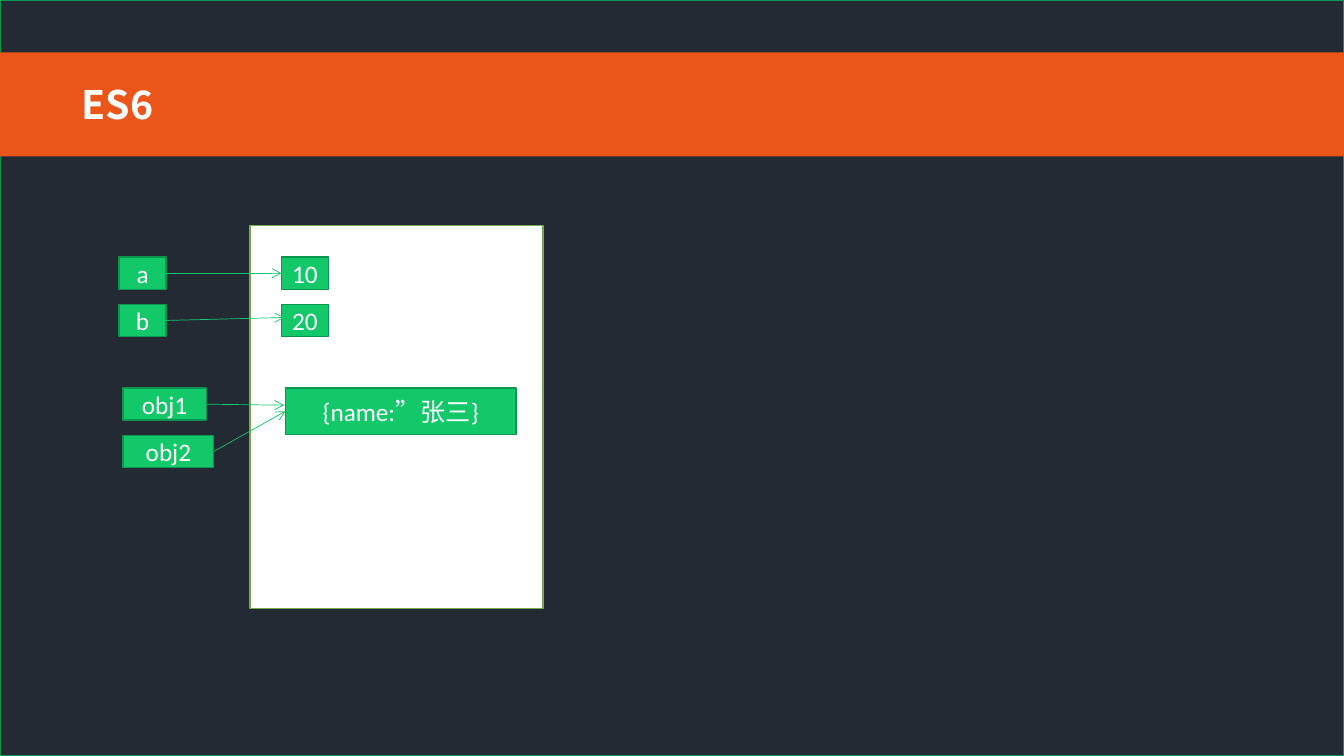
from dataclasses import dataclass

from lxml.etree import SubElement
from pptx import Presentation
from pptx.dml.color import RGBColor
from pptx.enum.shapes import MSO_CONNECTOR as Connector, MSO_SHAPE as Preset
from pptx.enum.text import MSO_ANCHOR as Anchor, MSO_AUTO_SIZE as AutoSize, PP_ALIGN as Align
from pptx.oxml.ns import qn
from pptx.util import Cm, Pt


@dataclass(frozen=True)
class Theme:
    night: RGBColor = RGBColor.from_string("232A34")
    orange: RGBColor = RGBColor.from_string("EA5519")
    green: RGBColor = RGBColor.from_string("12C869")
    dark_green: RGBColor = RGBColor.from_string("0D944E")
    panel_edge: RGBColor = RGBColor.from_string("70AD47")
    white: RGBColor = RGBColor.from_string("FFFFFF")
    latin: str = "Calibri"
    chinese: str = "Noto Sans CJK SC"
    title_size: Pt = Pt(28)
    box_size: Pt = Pt(18)
    edge_width: Pt = Pt(1)
    arrow_width: Pt = Pt(0.5)


THEME = Theme()
WIDTH, HEIGHT = 33.87, 19.05
BOX_HEIGHT, ROW_STEP = 0.81, 1.19
NUMBER_TOP, OBJECT_TOP = 6.48, 9.78
LEFT_SIDE, RIGHT_SIDE = 1, 3


def write(frame, text, align, anchor, **font_format):
    frame.vertical_anchor = anchor
    para = frame.paragraphs[0]
    para.alignment = align
    span = para.add_run()
    span.text = text
    for name, value in font_format.items():
        setattr(span.font, name, value)
    span.font.color.rgb = THEME.white
    east_asian = SubElement(span.font._element, qn("a:ea"))
    east_asian.set("typeface", THEME.chinese)


def add_rectangle(page, left, top, width, height, fill, edge=None):
    shape = page.shapes.add_shape(Preset.RECTANGLE, Cm(left), Cm(top), Cm(width), Cm(height))
    shape.shadow.inherit = False
    shape.fill.solid()
    shape.fill.fore_color.rgb = fill
    if edge is None:
        shape.line.fill.background()
    else:
        shape.line.color.rgb = edge
        shape.line.width = THEME.edge_width
    return shape


def add_box(page, text, left, top, width=1.19, height=BOX_HEIGHT):
    box = add_rectangle(page, left, top, width, height, THEME.green, THEME.dark_green)
    write(box.text_frame, text, Align.CENTER, Anchor.MIDDLE,
          name=THEME.latin, size=THEME.box_size)
    return box


def add_arrow(page, source, target, end=None):
    """Point from the right side of source to target, or to a free end in cm."""
    x, y = end or (0, 0)
    arrow = page.shapes.add_connector(Connector.STRAIGHT, 0, 0, Cm(x), Cm(y))
    arrow.begin_connect(source, RIGHT_SIDE)
    if end is None:
        arrow.end_connect(target, LEFT_SIDE)
    arrow.line.color.rgb = THEME.green
    arrow.line.width = THEME.arrow_width
    SubElement(arrow.line._get_or_add_ln(), qn("a:tailEnd")).set("type", "arrow")
    SubElement(arrow._element.spPr, qn("a:effectLst"))


def add_title(page, text):
    title = page.shapes.title
    place = {"left": 1.8, "top": 1.9, "width": 26.85, "height": 1.45}
    for name, value in place.items():
        setattr(title, name, Cm(value))
    title.text_frame.word_wrap = True
    title.text_frame.auto_size = AutoSize.SHAPE_TO_FIT_TEXT
    write(title.text_frame, text, Align.LEFT, Anchor.TOP,
          name=THEME.chinese, size=THEME.title_size, bold=True)
    # Bring the title in front of the band
    title.element.getparent().append(title.element)


def main():
    deck = Presentation()
    deck.slide_width, deck.slide_height = Cm(WIDTH), Cm(HEIGHT)
    page = deck.slides.add_slide(deck.slide_layouts[5])

    add_rectangle(page, 0, 0, WIDTH, HEIGHT, THEME.night, THEME.dark_green)
    add_rectangle(page, 0, 1.32, WIDTH, 2.62, THEME.orange)
    add_title(page, "ES6")
    add_rectangle(page, 6.3, 5.69, 7.39, 9.65, THEME.white, THEME.panel_edge)

    numbers = [("a", "10", None), ("b", "20", (7.16, 8))]
    for row, (name, value, end) in enumerate(numbers):
        top = NUMBER_TOP + row * ROW_STEP
        variable = add_box(page, name, 3, top)
        number = add_box(page, value, 7.09, top)
        add_arrow(page, variable, number, end)

    person = add_box(page, "{name:”张三}", 7.19, OBJECT_TOP, 5.82, 1.17)
    references = [("obj1", 2.1, (7.16, 10.21)), ("obj2", 2.29, None)]
    for row, (name, width, end) in enumerate(references):
        reference = add_box(page, name, 3.1, OBJECT_TOP + row * ROW_STEP, width)
        add_arrow(page, reference, person, end)

    deck.save("out.pptx")


if __name__ == "__main__":
    main()
